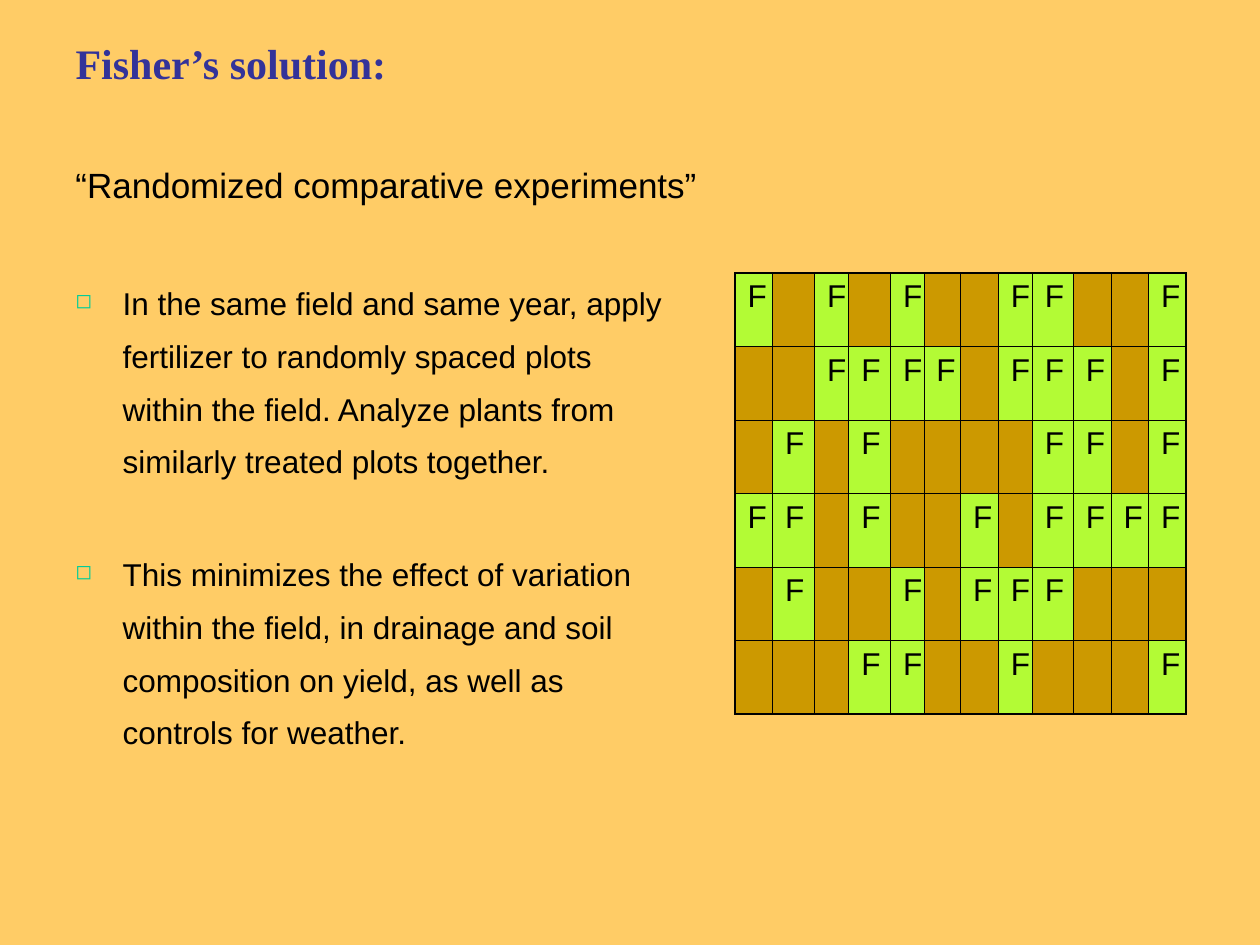
"""Build the slide on Fisher's randomized comparative experiments."""
import pptx
import pptx.dml.color
import pptx.enum.shapes
import pptx.enum.text
import pptx.oxml
import pptx.oxml.ns
import pptx.util

Pt = pptx.util.Pt
TEXT = pptx.enum.text

TITLE = "Fisher’s solution:"
SUBTITLE = "“Randomized comparative experiments”"
POINTS = [
    "In the same field and same year, apply fertilizer to randomly spaced plots "
    "within the field. Analyze plants from similarly treated plots together.",
    "This minimizes the effect of variation within the field, in drainage and soil "
    "composition on yield, as well as controls for weather.",
]
PLOTS = [
    "F.F.F..FF..F",
    "..FFFF.FFF.F",
    ".F.F....FF.F",
    "FF.F..F.FFFF",
    ".F..F.FFF...",
    "...FF..F...F",
]
COLUMNS = [21.5, 24, 19.5, 24, 19, 21, 21.5, 19.5, 23.5, 21.5, 21.5, 21.5]
ROW_HEIGHT = 42
FIELD = (420, 156, sum(COLUMNS), ROW_HEIGHT * len(PLOTS))
MARGIN, WIDTH = 36, 648
INNER, OUTER = 0.45, 1.08
INDENT = 27
BLACK, SOIL, FERTILIZED = "000000", "CC9900", "B3FB35"


def rgb(value):
    return pptx.dml.color.RGBColor.from_string(value)


def box(*lengths):
    return [Pt(v) for v in lengths]


def style(p, size, color=BLACK, name="Arial", bold=False):
    for r in p.runs:
        r.font.size, r.font.name, r.font.bold = Pt(size), name, bold
        r.font.color.rgb = rgb(color)


def add_xml(parent, xml):
    head, tail = xml.split(" ", 1)
    parent.append(pptx.oxml.parse_xml(f"{head} {pptx.oxml.ns.nsdecls('a')} {tail}"))


def add_text(s, place, texts):
    tf = s.shapes.add_textbox(*box(*place)).text_frame
    tf.word_wrap = True
    tf.text = "\n".join(texts)
    return tf


def add_bullet(p):
    pPr = p._p.get_or_add_pPr()
    pPr.set("marL", str(Pt(INDENT)))
    pPr.set("indent", str(-Pt(INDENT)))
    add_xml(pPr, '<a:buClr ><a:srgbClr val="00CC99"/></a:buClr>')
    add_xml(pPr, '<a:buSzPct val="65000"/>')
    add_xml(pPr, '<a:buChar char="◻"/>')


def add_borders(cell, widths):
    for side, width in widths.items():
        add_xml(cell._tc.get_or_add_tcPr(),
                f'<a:ln{side} w="{Pt(width)}"><a:solidFill><a:srgbClr val="{BLACK}"/>'
                f'</a:solidFill></a:ln{side}>')


def add_title(s):
    sp = s.shapes.title
    sp.left, sp.top, sp.width, sp.height = box(MARGIN, 18, WIDTH, 60)
    tf = sp.text_frame
    tf.text = TITLE
    tf.auto_size = TEXT.MSO_AUTO_SIZE.NONE
    tf.vertical_anchor = TEXT.MSO_ANCHOR.TOP
    p = tf.paragraphs[0]
    p.alignment = TEXT.PP_ALIGN.LEFT
    style(p, 24, "333399", "Times New Roman", True)


def add_points(s):
    tf = add_text(s, (MARGIN, 150, 354, 372), POINTS)
    for i, p in enumerate(tf.paragraphs):
        add_bullet(p)
        p.line_spacing = 1.4
        if i:
            p.space_before = Pt(34)
        style(p, 18)


def add_field(s):
    sp = s.shapes.add_shape(pptx.enum.shapes.MSO_SHAPE.RECTANGLE, *box(*FIELD))
    sp.shadow.inherit = False
    sp.fill.solid()
    sp.fill.fore_color.rgb = rgb(SOIL)
    sp.line.color.rgb = rgb(BLACK)
    sp.line.width = Pt(0.75)


def add_plots(s):
    table = s.shapes.add_table(len(PLOTS), len(COLUMNS), *box(*FIELD)).table
    table.first_row = table.horz_banding = False
    for column, width in zip(table.columns, COLUMNS):
        column.width = Pt(width)
    for i, row in enumerate(PLOTS):
        table.rows[i].height = Pt(ROW_HEIGHT)
        for j, mark in enumerate(row):
            cell = table.cell(i, j)
            edges = {"L": j == 0, "R": j == len(row) - 1,
                     "T": i == 0, "B": i == len(PLOTS) - 1}
            add_borders(cell, {k: OUTER if edge else INNER for k, edge in edges.items()})
            if mark == "F":
                cell.fill.solid()
                cell.fill.fore_color.rgb = rgb(FERTILIZED)
                cell.text_frame.text = mark
                p = cell.text_frame.paragraphs[0]
                p.alignment = TEXT.PP_ALIGN.CENTER
                style(p, 18)
            else:
                cell.fill.background()


def main():
    prs = pptx.Presentation()
    prs.slide_width, prs.slide_height = box(720, 540)
    s = prs.slides.add_slide(prs.slide_layouts[5])
    s.background.fill.solid()
    s.background.fill.fore_color.rgb = rgb("FFCC66")
    add_title(s)
    add_points(s)
    add_field(s)
    add_plots(s)
    style(add_text(s, (MARGIN, 90, WIDTH, 60), [SUBTITLE]).paragraphs[0], 20)
    prs.save("out.pptx")


if __name__ == "__main__":
    main()
